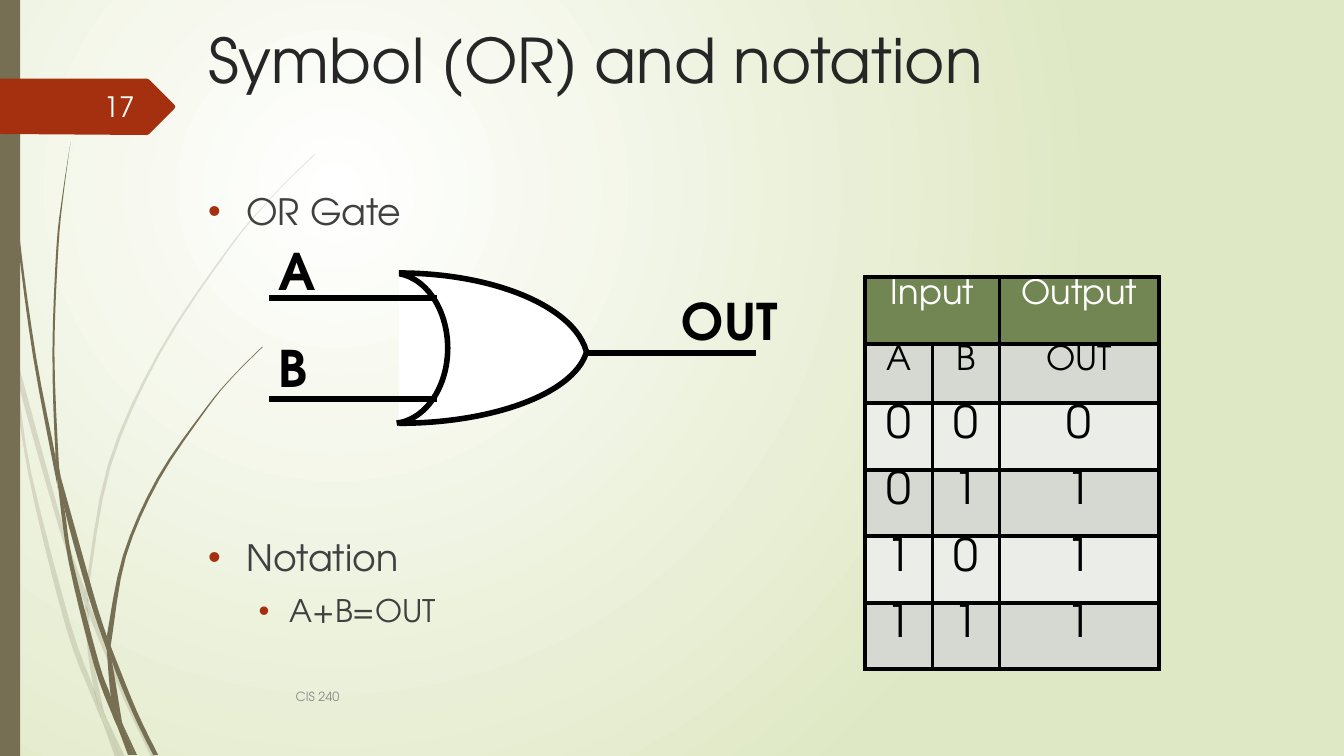
from dataclasses import dataclass

from lxml.etree import SubElement
from pptx import Presentation
from pptx.dml.color import RGBColor
from pptx.enum.shapes import MSO_CONNECTOR as Connector, MSO_SHAPE as Preset
from pptx.enum.text import MSO_ANCHOR as Anchor, MSO_AUTO_SIZE as AutoSize, PP_ALIGN as Align
from pptx.oxml.ns import qn
from pptx.util import Emu, Inches, Pt

# The page is a grid of 160 columns by 90 rows, each cell 1/12 inch.
COLUMNS, ROWS, CELL = 160, 90, Inches(1) // 12
FONT = "TeX Gyre Adventor"
COLORS = {
    "white": "FFFFFF", "mist": "DFE8C4", "olive": "766F54", "red": "A53010",
    "title": "262626", "body": "404040", "footer": "8C8C8C", "number": "FEFFFF",
    "black": "000000", "header": "728653", "dark_band": "D5D9D1", "light_band": "EBEDE9",
}
Points = list[tuple[float, float]]


@dataclass
class Label:
    text: str
    left: float
    top: float
    width: float
    height: float
    size: float
    color: str
    bold: bool = False
    align: Align = Align.LEFT
    anchor: Anchor = Anchor.TOP
    wrap: bool = True


@dataclass
class Arc:
    left: float
    top: float
    width: float
    height: float
    start: float  # degrees, clockwise from the right
    end: float
    flipped: bool = False
    filled: bool = True


@dataclass
class Wire:
    left: float
    right: float
    row: float


@dataclass
class Bullet:
    text: str
    level: int
    size: float
    gap: float
    indent: float
    hang: float


# Each piece of a grass blade has two edges, both from tip to root, in inches.
PALE_GRASS: list[tuple[Points, Points]] = [
    ([(0, 2.82), (.09, 3.22), (.11, 3.5)], [(0, 2.99), (.1, 3.44), (.11, 3.5)]),
    ([(.14, 3.45), (.62, 5.2), (.85, 5.86)], [(.14, 3.45), (.17, 3.76), (.58, 5.22), (.84, 5.99)]),
    ([(.88, 5.96), (.92, 6.07), (1.27, 6.92), (1.55, 7.51)], [(.88, 6.1), (1.23, 6.94), (1.5, 7.51)]),
    ([(1.05, 7.11), (1.24, 7.51)], [(1.05, 7.11), (1.19, 7.51)]),
    ([(.11, 3.5), (.17, 3.76), (.31, 4.69), (.7, 6.19), (.93, 6.83), (.99, 7.07), (1.01, 7.14)],
     [(.11, 3.5), (.28, 4.7), (.65, 6.21), (.92, 6.93), (1.01, 7.14)]),
    ([(.84, 5.99), (.87, 6.46), (.93, 6.83), (.96, 6.92), (1.05, 7.11)],
     [(.84, 5.99), (.88, 6.08), (.91, 6.46), (1.03, 7.06), (1.05, 7.11)]),
    ([(3.12, 1.53), (2.89, 1.75), (2.68, 1.97), (2.28, 2.44), (1.58, 3.48), (1.07, 4.61), (.85, 5.84), (.85, 5.86)],
     [(3.12, 1.54), (2.9, 1.75), (2.68, 1.98), (2.29, 2.45), (1.6, 3.49), (1.1, 4.62), (.88, 5.84), (.88, 5.96)]),
    ([(1.01, 7.14), (1.19, 7.51)], [(1.01, 7.14), (1.14, 7.51)]),
    ([(.85, 5.86), (.84, 5.99)], [(.88, 5.96), (.88, 6.1)]),
    ([(.93, 6.83), (.96, 6.92), (1.05, 7.11), (1.19, 7.51)], [(.93, 6.83), (.99, 7.07), (1.01, 7.14), (1.19, 7.51)]),
]
DARK_GRASS: list[tuple[Points, Points]] = [
    ([(.03, 0), (.04, .48), (.07, 1.1), (.17, 2.33), (.33, 3.55), (.56, 4.77), (.57, 4.81)],
     [(.04, 0), (.05, .48), (.08, 1.09), (.19, 2.32), (.36, 3.55), (.55, 4.53), (.57, 4.81)]),
    ([(.6, 4.72), (.93, 5.9), (1.06, 6.31)], [(.6, 4.72), (.64, 5.05), (.88, 5.92), (1.06, 6.45)]),
    ([(1.1, 6.41), (1.13, 6.49), (1.36, 7.06), (1.57, 7.49)], [(1.1, 6.41), (1.11, 6.56), (1.32, 7.08), (1.52, 7.49)]),
    ([(.57, 4.77), (.64, 5.05), (.72, 5.56), (.98, 6.57), (1.1, 6.91), (1.17, 7.22)],
     [(.57, 4.77), (.68, 5.57), (.93, 6.59), (1.11, 7.08), (1.17, 7.22)]),
    ([(.7, 1.41), (.62, 1.93), (.56, 2.45), (.52, 3.49), (.55, 4.49), (.6, 4.72)],
     [(.7, 1.41), (.63, 1.93), (.58, 2.45), (.54, 3.49), (.58, 4.53), (.6, 4.72)]),
    ([(1.22, 7.19), (1.36, 7.49)], [(1.22, 7.19), (1.33, 7.49)]),
    ([(.55, 4.49), (.6, 4.72), (.64, 5.05)], [(.55, 4.53), (.57, 4.77), (.64, 5.05)]),
    ([(2.6, 3.44), (2.31, 3.73), (2.04, 4.05), (1.56, 4.74), (1.22, 5.51), (1.06, 6.31)],
     [(2.61, 3.44), (2.31, 3.74), (2.05, 4.06), (1.58, 4.76), (1.25, 5.52), (1.11, 6.33), (1.1, 6.41)]),
    ([(1.17, 7.22), (1.31, 7.49)], [(1.17, 7.22), (1.27, 7.49)]),
    ([(1.06, 6.45), (1.1, 6.91), (1.16, 7.06), (1.22, 7.19)], [(1.06, 6.45), (1.11, 6.56), (1.21, 7.16), (1.22, 7.19)]),
    ([(1.06, 6.31), (1.06, 6.45)], [(1.06, 6.31), (1.1, 6.41), (1.11, 6.56)]),
    ([(1.1, 6.91), (1.16, 7.06), (1.22, 7.19), (1.33, 7.49)], [(1.1, 6.91), (1.17, 7.22), (1.3, 7.49)]),
]
PAGE_TAG = [(0, .78), (1.46, .78), (1.48, .79), (1.73, 1.04), (1.74, 1.06), (1.73, 1.08),
            (1.48, 1.33), (1.46, 1.34), (0, 1.33)]
BULLETS = [Bullet("OR Gate", 0, 25.9, 0, .38, .38), Bullet("Notation", 0, 25.9, 216, .38, .38),
           Bullet("A+B=OUT", 1, 22.2, 9.5, .81, .31)]
PAGE_LABELS = [
    Label("CIS 240", 34, 80.5, 100, 4.8, 9, "footer", anchor=Anchor.MIDDLE),
    Label("17", 7, 10.3, 10.2, 4.8, 20, "number", align=Align.RIGHT, anchor=Anchor.MIDDLE),
]
GATE_LABELS = [Label(text, left, top, width, 8.5, 36, "black", bold=True, wrap=False)
               for text, left, top, width in [("A", 32, 28, 7), ("B", 32, 39.5, 5.9), ("OUT", 80, 34, 13.9)]]
GATE_ARCS = [Arc(25, 32.5, 45, 21.5, 270, 357.6), Arc(25, 31, 45, 19.4, 270, 356.88, flipped=True),
             Arc(40, 32.5, 13.3, 17.9, 275.96, 86.35, filled=False)]
OUTPUT_WIRE = Wire(70, 90, 42)
INPUT_WIRES = [Wire(32, 52, row) for row in (35.5, 47.5)]
TRUTH_TABLE = [("Input", "", "Output"), ("A", "B", "OUT")] + [
    (str(a), str(b), str(a | b)) for a in (0, 1) for b in (0, 1)]


def grid(*lengths: float) -> list[Emu]:
    return [Emu(round(length * CELL)) for length in lengths]


def rgb(name: str) -> RGBColor:
    return RGBColor.from_string(COLORS[name])


def style(para, size: float, color: str, bold: bool = False, align: Align = Align.LEFT) -> None:
    para.alignment = align
    para.font.name, para.font.size, para.font.bold = FONT, Pt(size), bold
    para.font.color.rgb = rgb(color)


def smooth(knots: Points) -> Points:
    """Run a Catmull-Rom curve through the knots."""
    ends = [knots[0], *knots, knots[-1]]
    curve = [knots[0]]
    for a, b, c, d in zip(ends, ends[1:], ends[2:], ends[3:]):
        for t in (.25, .5, .75, 1):
            curve.append(tuple(
                b[i] + .5 * t * (c[i] - a[i] + t * (2 * a[i] - 5 * b[i] + 4 * c[i] - d[i]
                                                   + t * (3 * (b[i] - c[i]) + d[i] - a[i])))
                for i in (0, 1)))
    return curve


def paint(shape, color: str, opacity: int = 100) -> None:
    shape.shadow.inherit = False
    shape.fill.solid()
    shape.fill.fore_color.rgb = rgb(color)
    shape.line.fill.background()
    if opacity < 100:
        tint = next(shape._element.spPr.iter(qn("a:srgbClr")))
        SubElement(tint, qn("a:alpha"), val=str(opacity * 1000))


def add_outline(page, outline: Points, color: str, opacity: int = 100) -> None:
    first, *rest = [(Inches(x), Inches(y)) for x, y in outline]
    builder = page.shapes.build_freeform(*first)
    builder.add_line_segments(rest, close=True)
    paint(builder.convert_to_shape(), color, opacity)


def add_label(page, label: Label) -> None:
    frame = page.shapes.add_textbox(*grid(label.left, label.top, label.width, label.height)).text_frame
    frame.word_wrap, frame.vertical_anchor = label.wrap, label.anchor
    frame.text = label.text
    style(frame.paragraphs[0], label.size, label.color, label.bold, label.align)


def add_arc(page, arc: Arc) -> None:
    shape = page.shapes.add_shape(Preset.ARC, *grid(arc.left, arc.top, arc.width, arc.height))
    shape.adjustments[0], shape.adjustments[1] = arc.start * .6, arc.end * .6
    paint(shape, "white")
    if not arc.filled:
        shape.fill.background()
    shape.line.color.rgb, shape.line.width = rgb("black"), Pt(4)
    if arc.flipped:
        shape._element.spPr.find(qn("a:xfrm")).set("flipV", "1")


def add_wire(page, wire: Wire) -> None:
    line = page.shapes.add_connector(Connector.STRAIGHT, *grid(wire.left, wire.row, wire.right, wire.row))
    line.line.color.rgb, line.line.width = rgb("black"), Pt(4)
    SubElement(line._element.spPr, qn("a:effectLst"))


def add_bullets(page) -> None:
    frame = page.shapes.add_textbox(*grid(23.6, 21.9, 131.4, 49.6)).text_frame
    frame.word_wrap = True
    for index, bullet in enumerate(BULLETS):
        para = frame.add_paragraph() if index else frame.paragraphs[0]
        para.text, para.level, para.space_before = bullet.text, bullet.level, Pt(bullet.gap)
        style(para, bullet.size, "body")
        props = para._p.get_or_add_pPr()
        props.set("marL", str(Inches(bullet.indent)))
        props.set("indent", str(-Inches(bullet.hang)))
        SubElement(SubElement(props, qn("a:buClr")), qn("a:srgbClr"), val=COLORS["red"])
        SubElement(props, qn("a:buFont"), typeface="Arial")
        SubElement(props, qn("a:buChar"), char="•")
        props.append(props.find(qn("a:defRPr")))


def add_border(cell) -> None:
    props = cell._tc.get_or_add_tcPr()
    for index, side in enumerate("LRTB"):
        edge = SubElement(props, qn(f"a:ln{side}"), w=str(Pt(3)))
        SubElement(SubElement(edge, qn("a:solidFill")), qn("a:srgbClr"), val=COLORS["black"])
        props.insert(index, edge)


def add_truth_table(page) -> None:
    table = page.shapes.add_table(len(TRUTH_TABLE), 3, *grid(103, 33, 35, 46.7)).table
    table.first_row = table.horz_banding = False
    for column, width in zip(table.columns, grid(8, 8, 19)):
        column.width = width
    for row, height in zip(table.rows, grid(7.92, 7.08, *[7.92] * 4)):
        row.height = height
    for r, values in enumerate(TRUTH_TABLE):
        for c, value in enumerate(values):
            cell = table.cell(r, c)
            cell.text, cell.margin_top = value, Inches(.02)
            style(cell.text_frame.paragraphs[0], 24 if r < 2 else 32, "black" if r else "white", align=Align.CENTER)
            cell.fill.solid()
            cell.fill.fore_color.rgb = rgb(("dark_band" if r % 2 else "light_band") if r else "header")
            add_border(cell)
    table.cell(0, 0).merge(table.cell(0, 1))


def set_background(page) -> None:
    fill = page.background.fill
    fill.gradient()
    for stop, color, position in zip(fill.gradient_stops, ("white", "mist"), (0, 1)):
        stop.color.rgb, stop.position = rgb(color), position
    gradient = next(page._element.iter(qn("a:gradFill")))
    gradient.remove(gradient.find(qn("a:lin")))
    radial = SubElement(gradient, qn("a:path"), path="circle")
    SubElement(radial, qn("a:fillToRect"), l="50000", t="50000", r="100000", b="100000")


def set_title(page) -> None:
    title = page.shapes.title
    title.left, title.top, title.width, title.height = grid(23.6, 2, 131.4, 16.8)
    frame = title.text_frame
    frame.text = "Symbol (OR) and notation"
    frame.word_wrap, frame.vertical_anchor, frame.auto_size = True, Anchor.TOP, AutoSize.NONE
    style(frame.paragraphs[0], 44, "title")


def main() -> None:
    deck = Presentation()
    deck.slide_width, deck.slide_height = grid(COLUMNS, ROWS)
    page = deck.slides.add_slide(deck.slide_layouts[5])
    set_background(page)
    for grass, opacity in ((PALE_GRASS, 20), (DARK_GRASS, 100)):
        for one_edge, other_edge in grass:
            add_outline(page, smooth(one_edge) + smooth(other_edge)[::-1], "olive", opacity)
    paint(page.shapes.add_shape(Preset.RECTANGLE, *grid(0, 0, 2.4, ROWS)), "olive")
    add_outline(page, PAGE_TAG, "red")
    set_title(page)
    add_bullets(page)
    add_truth_table(page)
    add_wire(page, OUTPUT_WIRE)
    for label in PAGE_LABELS + GATE_LABELS:
        add_label(page, label)
    for arc in GATE_ARCS:
        add_arc(page, arc)
    for wire in INPUT_WIRES:
        add_wire(page, wire)
    deck.save("out.pptx")


if __name__ == "__main__":
    main()
